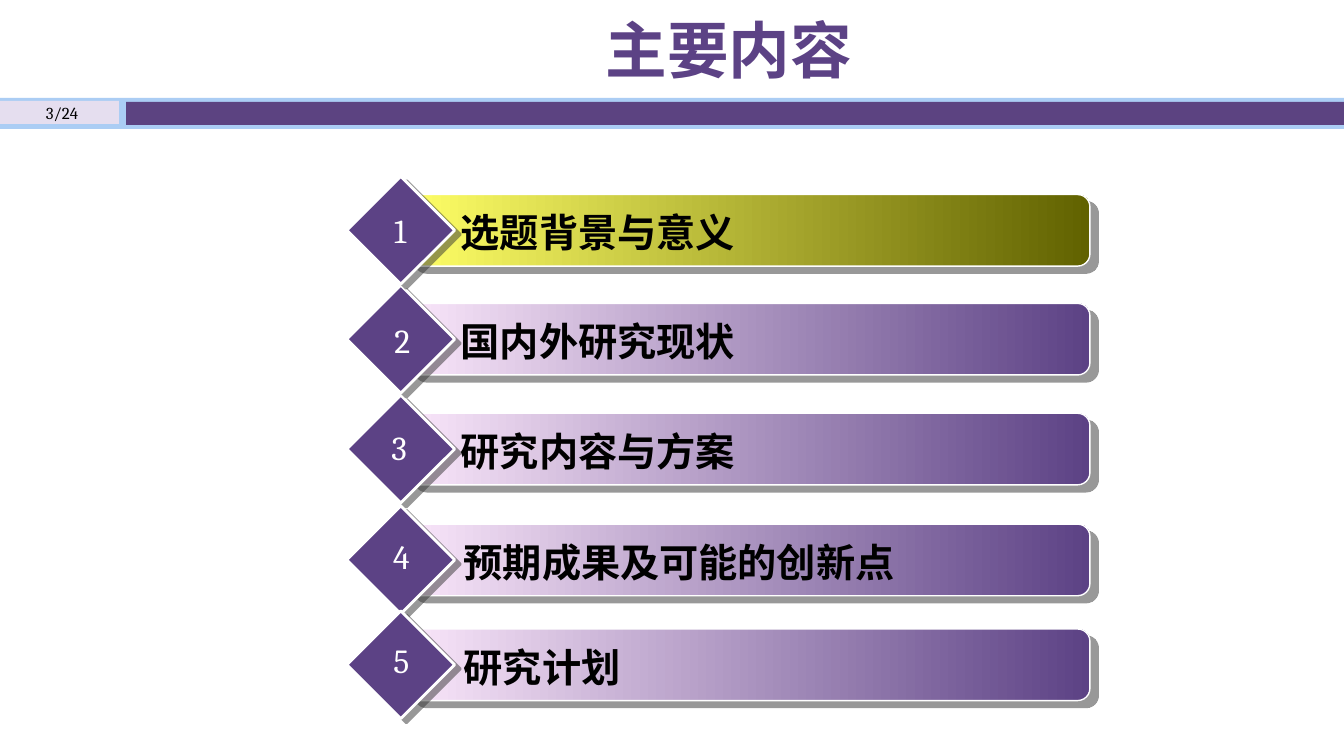
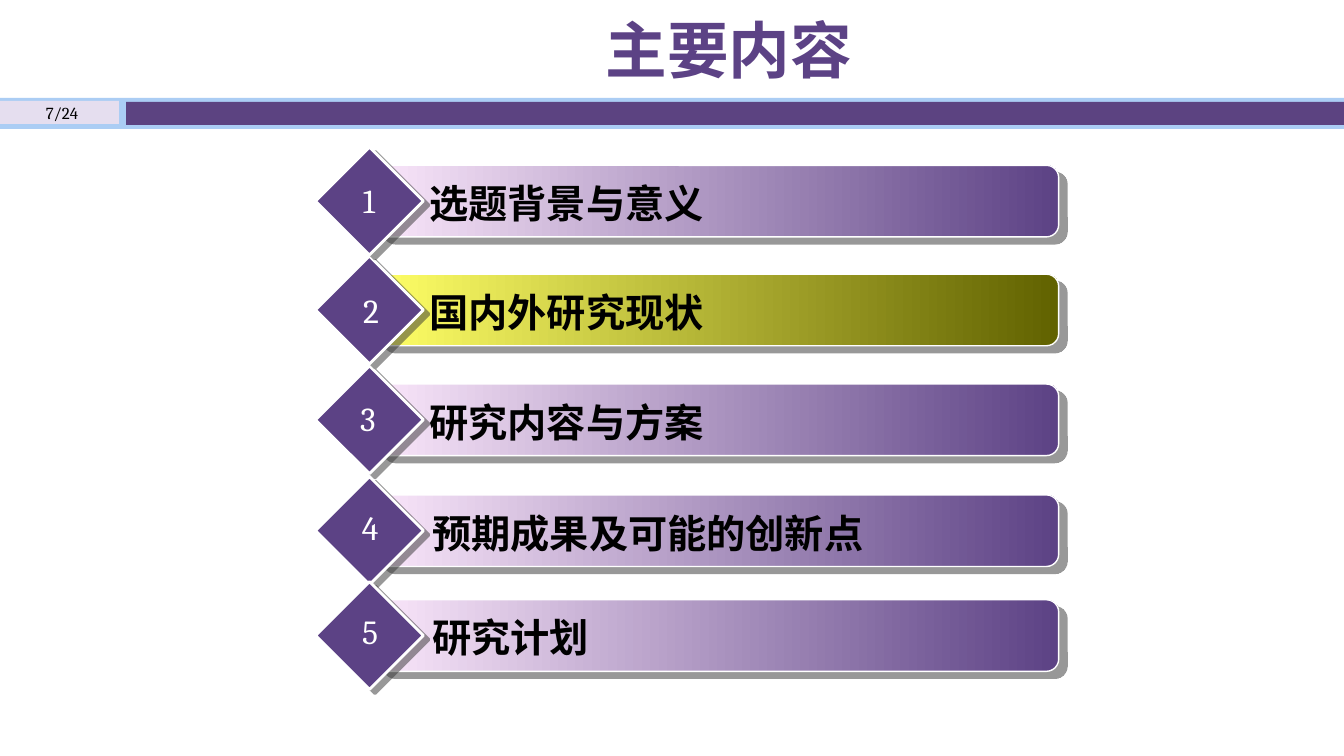
import pptx
import pptx.dml.color
import pptx.enum.shapes
import pptx.enum.text
import pptx.oxml
import pptx.oxml.ns
import pptx.util
from lxml import etree

PX = 9144  # 100 px to the inch
COLORS = {
    "purple": "5C4285", "band": "5C4381", "sky": "ABCDF4", "lilac": "E5DEEF",
    "pink": "FAE6FA", "yellow": "FFFF67", "olive": "616200",
    "white": "FFFFFF", "black": "000000", "shadow": "333333",
}
RGB = {name: pptx.dml.color.RGBColor.from_string(value) for name, value in COLORS.items()}
CJK_FONT = "Noto Sans CJK SC"
FORMATS = {
    "title": {"size": pptx.util.Pt(44), "name": "Calibri", "bold": True},
    "page": {"size": pptx.util.Pt(12), "name": "Cambria"},
    "label": {"size": pptx.util.Pt(28), "name": CJK_FONT, "bold": True},
    "number": {"size": pptx.util.Pt(24), "name": "Cambria"},
}
SHAPE = pptx.enum.shapes.MSO_SHAPE
ALIGN = pptx.enum.text.PP_ALIGN
MIDDLE = pptx.enum.text.MSO_ANCHOR.MIDDLE

# left, top, width, height, colour
BANDS = [
    (0, 97, 1333, 31, "sky"),
    (0, 100, 118, 23, "lilac"),
    (125, 101, 1208, 23, "band"),
]
# label, top of its row, label left, number left, number top
TOPICS = [
    ("选题背景与意义", 0, 95, 35, 28),
    ("国内外研究现状", 108, 95, 37, 29),
    ("研究内容与方案", 217, 95, 34, 27),
    ("预期成果及可能的创新点", 327, 98, 36, 25),
    ("研究计划", 431, 98, 36, 24),
]
STACKING = [4, 3, 2, 1, 5]  # topic numbers from back to front
# page, left and top of the list, highlighted topic
AGENDAS = [("3/24", 344, 175, 1), ("7/24", 313, 146, 2)]


def write(frame, text, style, color, align):
    paragraph = frame.paragraphs[0]
    paragraph.alignment = align
    run = paragraph.add_run()
    run.text = text
    for attribute, value in FORMATS[style].items():
        setattr(run.font, attribute, value)
    run.font.color.rgb = RGB[color]
    east_asian = etree.SubElement(run.font._element, pptx.oxml.ns.qn("a:ea"))
    east_asian.set("typeface", CJK_FONT)


def outline_and_shade(shape, line_width, distance, angle):
    """Give a shape a white outline and a hard half-transparent shadow."""
    shape.line.color.rgb = RGB["white"]
    shape.line.width = pptx.util.Pt(line_width)
    shape.shadow.inherit = False
    effects = shape.element.spPr.find(pptx.oxml.ns.qn("a:effectLst"))
    effects.append(pptx.oxml.parse_xml(
        f'<a:outerShdw {pptx.oxml.ns.nsdecls("a")} dist="{pptx.util.Pt(distance)}" '
        f'dir="{angle * 60000}" algn="ctr" rotWithShape="0">'
        f'<a:srgbClr val="{COLORS["shadow"]}"><a:alpha val="50000"/></a:srgbClr>'
        f'</a:outerShdw>'))


deck = pptx.Presentation()
deck.slide_width, deck.slide_height = 1333 * PX, 750 * PX
layout = deck.slide_layouts[5]

for page, list_left, list_top, highlighted in AGENDAS:
    slide = deck.slides.add_slide(layout)

    # The bands are made on the first slide and moved to the layout.
    if len(deck.slides) == 1:
        for band_id, (left, top, width, height, color) in enumerate(BANDS, start=20):
            band = slide.shapes.add_shape(
                SHAPE.RECTANGLE, left * PX, top * PX, width * PX, height * PX)
            band.fill.solid()
            band.fill.fore_color.rgb = RGB[color]
            band.line.fill.background()
            band.shadow.inherit = False
            band.element.nvSpPr.cNvPr.set("id", str(band_id))
            layout.shapes.element.append(band.element)

    title = slide.shapes.title
    title.left, title.top, title.width, title.height = 123 * PX, 3 * PX, 1200 * PX, 90 * PX
    title.fill.solid()
    title.fill.fore_color.rgb = RGB["white"]
    title.text_frame.vertical_anchor = MIDDLE
    write(title.text_frame, "主要内容", "title", "purple", ALIGN.CENTER)

    page_frame = slide.shapes.add_textbox(0, 96 * PX, 123 * PX, 31 * PX).text_frame
    page_frame.word_wrap = True
    page_frame.vertical_anchor = MIDDLE
    write(page_frame, page, "page", "black", ALIGN.CENTER)

    for number in STACKING:
        label, row_top, label_left, number_left, number_top = TOPICS[number - 1]
        top = list_top + row_top
        topic = slide.shapes.add_group_shape().shapes

        bar = topic.add_shape(
            SHAPE.ROUNDED_RECTANGLE, (list_left + 59) * PX, (top + 18) * PX, 678 * PX, 71 * PX)
        bar.adjustments[0] = 0.17
        bar.fill.gradient()
        bar.fill.gradient_angle = 0
        ends = ("yellow", "olive") if number == highlighted else ("pink", "purple")
        for stop, color in zip(bar.fill.gradient_stops, ends):
            stop.color.rgb = RGB[color]
        outline_and_shade(bar, 1, 7.8, 40)

        diamond = topic.add_shape(
            SHAPE.DIAMOND, list_left * PX, top * PX, 107 * PX, 107 * PX)
        diamond.fill.solid()
        diamond.fill.fore_color.rgb = RGB["purple"]
        outline_and_shade(diamond, 2, 5, 37)

        label_frame = topic.add_textbox(
            (list_left + label_left) * PX, (top + 27) * PX, 535 * PX, 54 * PX).text_frame
        label_frame.word_wrap = True
        label_frame.margin_left = 18 * PX
        write(label_frame, label, "label", "black", ALIGN.LEFT)

        number_frame = topic.add_textbox(
            (list_left + number_left) * PX, (top + number_top) * PX, 36 * PX, 48 * PX).text_frame
        number_frame.word_wrap = False
        write(number_frame, str(number), "number", "white", ALIGN.CENTER)

deck.save("out.pptx")
